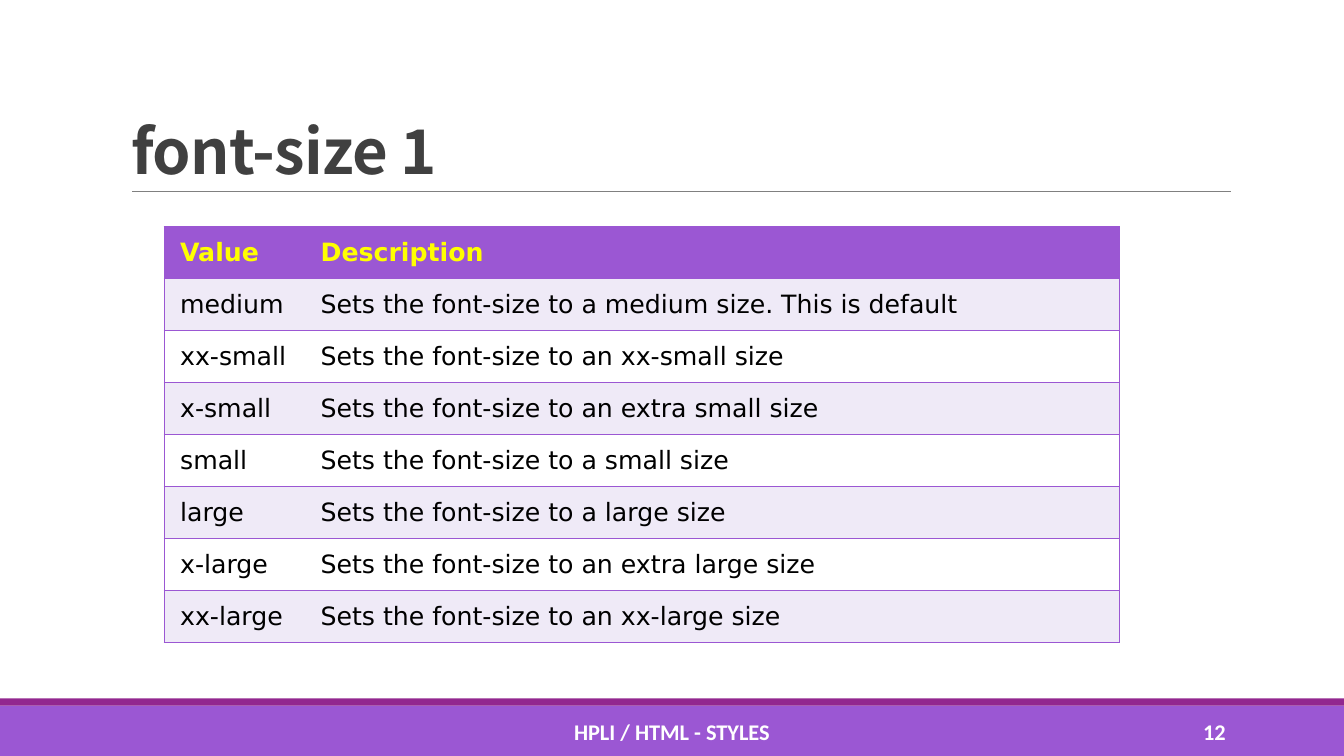
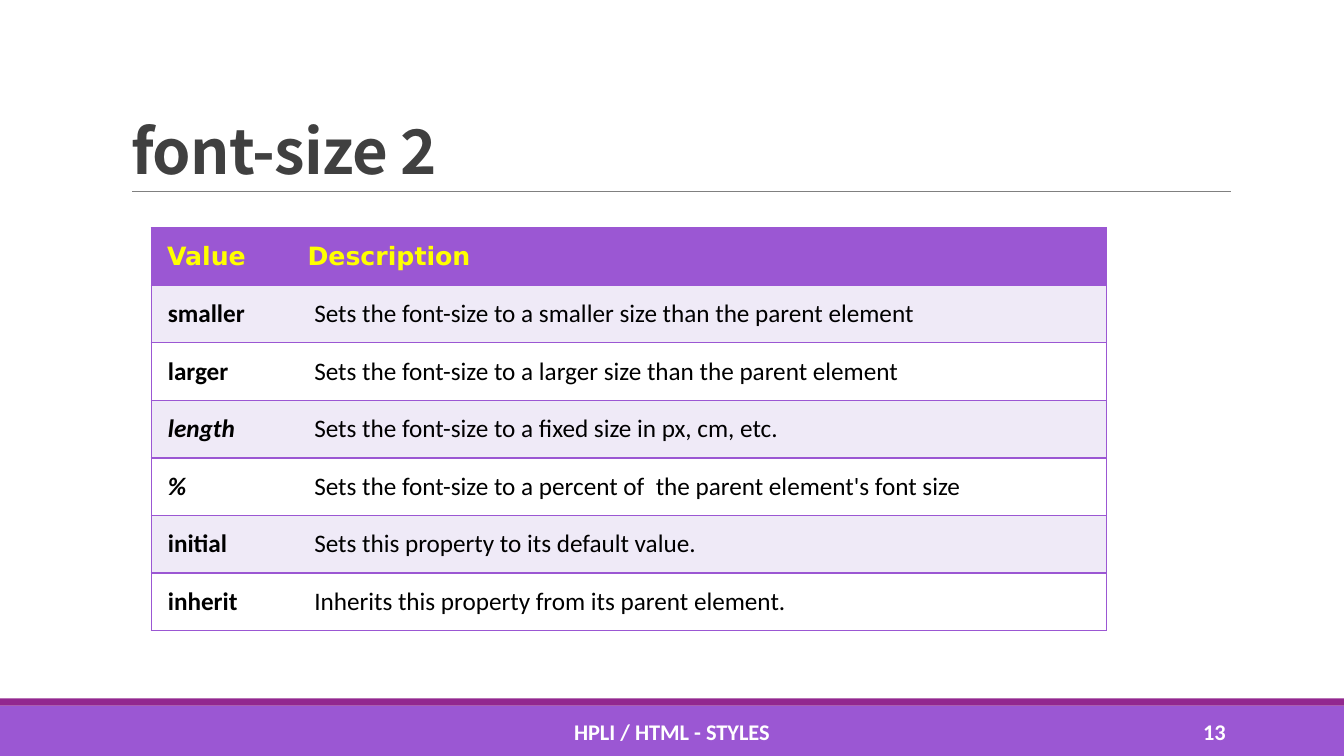
from lxml import etree
from pptx import Presentation
from pptx.dml.color import RGBColor
from pptx.enum.shapes import MSO_CONNECTOR, MSO_SHAPE
from pptx.enum.text import MSO_ANCHOR, PP_ALIGN
from pptx.oxml.ns import qn
from pptx.util import Cm, Pt

RECTANGLE = MSO_SHAPE.RECTANGLE
STRAIGHT = MSO_CONNECTOR.STRAIGHT
MIDDLE, BOTTOM = MSO_ANCHOR.MIDDLE, MSO_ANCHOR.BOTTOM
LEFT, CENTER, RIGHT = PP_ALIGN.LEFT, PP_ALIGN.CENTER, PP_ALIGN.RIGHT

PURPLE = RGBColor(0x9B, 0x57, 0xD3)
MAGENTA = RGBColor(0x92, 0x27, 0x8F)
LILAC = RGBColor(0xEF, 0xEA, 0xF7)
YELLOW = RGBColor(0xFF, 0xFF, 0x00)
GRAY = RGBColor(0x80, 0x80, 0x80)
CHARCOAL = RGBColor(0x40, 0x40, 0x40)
BLACK = RGBColor(0x00, 0x00, 0x00)
WHITE = RGBColor(0xFF, 0xFF, 0xFF)

TITLE_FONT = "Noto Sans CJK SC"
TABLE_FONT = "DejaVu Sans"
BODY_FONT = "Calibri"

SLIDE_WIDTH, SLIDE_HEIGHT = Cm(33.87), Cm(19.05)
TITLE_ONLY_LAYOUT = 5
FIRST_NUMBER = 12
FOOTER = "HPLI / HTML - STYLES"
COLUMN_WIDTHS = (Cm(3.91), Cm(20.17))
HEADER = ("Value", "Description")
TIGHT_MARGINS = ((0.4, 0.03, 0.03, 0), (0.03, 0.03, 0.03, 0))
WIDE_MARGINS = ((0.42, 0.2, 0.2, 0.2), (0.2, 0.2, 0.2, 0.2))

KEYWORD_ROWS = [
    ("medium", "Sets the font-size to a medium size. This is default"),
    ("xx-small", "Sets the font-size to an xx-small size"),
    ("x-small", "Sets the font-size to an extra small size"),
    ("small", "Sets the font-size to a small size"),
    ("large", "Sets the font-size to a large size"),
    ("x-large", "Sets the font-size to an extra large size"),
    ("xx-large", "Sets the font-size to an xx-large size"),
]
RELATIVE_ROWS = [
    ("smaller", "Sets the font-size to a smaller size than the parent element"),
    ("larger", "Sets the font-size to a larger size than the parent element"),
    ("length", "Sets the font-size to a fixed size in px, cm, etc."),
    ("%", "Sets the font-size to a percent of  the parent element's font size"),
    ("initial", "Sets this property to its default value."),
    ("inherit", "Inherits this property from its parent element."),
]
ITALIC_VALUES = ("length", "%")


def write_text(text_frame, text, *, size, font, color, bold=False, italic=False,
               alignment=LEFT, line_spacing=None):
    paragraph = text_frame.paragraphs[0]
    paragraph.alignment = alignment
    paragraph.line_spacing = line_spacing
    run = paragraph.add_run()
    run.text = text
    run.font.size = Pt(size)
    run.font.name = font
    run.font.bold = bold
    run.font.italic = italic
    run.font.color.rgb = color


def add_band(slide, top, height, color):
    band = slide.shapes.add_shape(RECTANGLE, 0, top, SLIDE_WIDTH, height)
    band.shadow.inherit = False
    band.fill.solid()
    band.fill.fore_color.rgb = color
    band.line.fill.background()
    return band


def add_rule(slide, left, right, top):
    rule = slide.shapes.add_connector(STRAIGHT, left, top, right, top)
    rule.line.color.rgb = GRAY
    rule.line.width = Pt(0.5)
    etree.SubElement(rule.element.spPr, qn("a:effectLst"))
    return rule


def decorate_layout(slide):
    decorations = (
        add_band(slide, Cm(17.78), Cm(1.27), PURPLE),
        add_band(slide, Cm(17.6), Cm(0.18), MAGENTA),
        add_rule(slide, Cm(3.33), Cm(31.01), Cm(4.83)),
    )
    for shape in decorations:
        slide.slide_layout.shapes.element.append(shape.element)


def set_title(slide, text):
    title = slide.shapes.title
    title.left, title.top = Cm(3.05), Cm(0.79)
    title.width, title.height = Cm(27.94), Cm(4.04)
    title.text_frame.vertical_anchor = BOTTOM
    write_text(title.text_frame, text, size=44, font=TITLE_FONT, color=CHARCOAL,
               bold=True, line_spacing=0.85)
    for properties in title.element.iter(qn("a:rPr")):
        properties.set("spc", "-50")


def add_footer_text(slide, left, width, text, alignment):
    box = slide.shapes.add_textbox(left, Cm(17.93), width, Cm(1.02))
    box.text_frame.word_wrap = True
    box.text_frame.vertical_anchor = MIDDLE
    write_text(box.text_frame, text, size=16, font=BODY_FONT, color=WHITE,
               bold=True, alignment=alignment)


def set_borders(cell, hidden_side):
    properties = cell._tc.get_or_add_tcPr()
    for side in ("lnL", "lnR", "lnT", "lnB"):
        border = etree.SubElement(properties, qn(f"a:{side}"), w=str(Pt(1)))
        if side == hidden_side:
            etree.SubElement(border, qn("a:noFill"))
        else:
            fill = etree.SubElement(border, qn("a:solidFill"))
            etree.SubElement(fill, qn("a:srgbClr"), val=str(PURPLE))


def format_cell(cell, margins, color, hidden_side):
    cell.margin_left, cell.margin_top, cell.margin_right, cell.margin_bottom = map(Cm, margins)
    cell.vertical_anchor = MIDDLE
    set_borders(cell, hidden_side)
    cell.fill.solid()
    cell.fill.fore_color.rgb = color


def add_value_table(slide, rows, *, left, top, row_height, body_font, body_margins, bold_values):
    row_count = len(rows) + 1
    table = slide.shapes.add_table(row_count, len(HEADER), left, top, sum(COLUMN_WIDTHS),
                                   row_height * row_count).table
    for column, width in zip(table.columns, COLUMN_WIDTHS):
        column.width = width
    for row_index, texts in enumerate([HEADER, *rows]):
        table.rows[row_index].height = row_height
        is_header = row_index == 0
        band_color = LILAC if row_index % 2 else WHITE
        margins = TIGHT_MARGINS if is_header else body_margins
        for column_index, text in enumerate(texts):
            is_value = column_index == 0
            cell = table.cell(row_index, column_index)
            format_cell(cell, margins[column_index], PURPLE if is_header else band_color,
                        "lnR" if is_value else "lnL")
            write_text(cell.text_frame, text, size=18,
                       font=TABLE_FONT if is_header else body_font,
                       color=YELLOW if is_header else BLACK,
                       bold=is_header or (is_value and bold_values),
                       italic=text in ITALIC_VALUES)


def main():
    presentation = Presentation()
    presentation.slide_width, presentation.slide_height = SLIDE_WIDTH, SLIDE_HEIGHT
    layout = presentation.slide_layouts[TITLE_ONLY_LAYOUT]
    contents = (
        ("font-size 1", KEYWORD_ROWS,
         dict(left=Cm(4.14), top=Cm(5.71), row_height=Cm(1.31), body_font=TABLE_FONT,
              body_margins=TIGHT_MARGINS, bold_values=False)),
        ("font-size 2", RELATIVE_ROWS,
         dict(left=Cm(3.81), top=Cm(5.74), row_height=Cm(1.45), body_font=BODY_FONT,
              body_margins=WIDE_MARGINS, bold_values=True)),
    )
    for number, (title, rows, table_format) in enumerate(contents, FIRST_NUMBER):
        slide = presentation.slides.add_slide(layout)
        if number == FIRST_NUMBER:
            decorate_layout(slide)
        set_title(slide, title)
        add_value_table(slide, rows, **table_format)
        add_footer_text(slide, Cm(10.24), Cm(13.39), FOOTER, CENTER)
        add_footer_text(slide, Cm(27.51), Cm(3.63), str(number), RIGHT)
    presentation.save("out.pptx")


if __name__ == "__main__":
    main()
